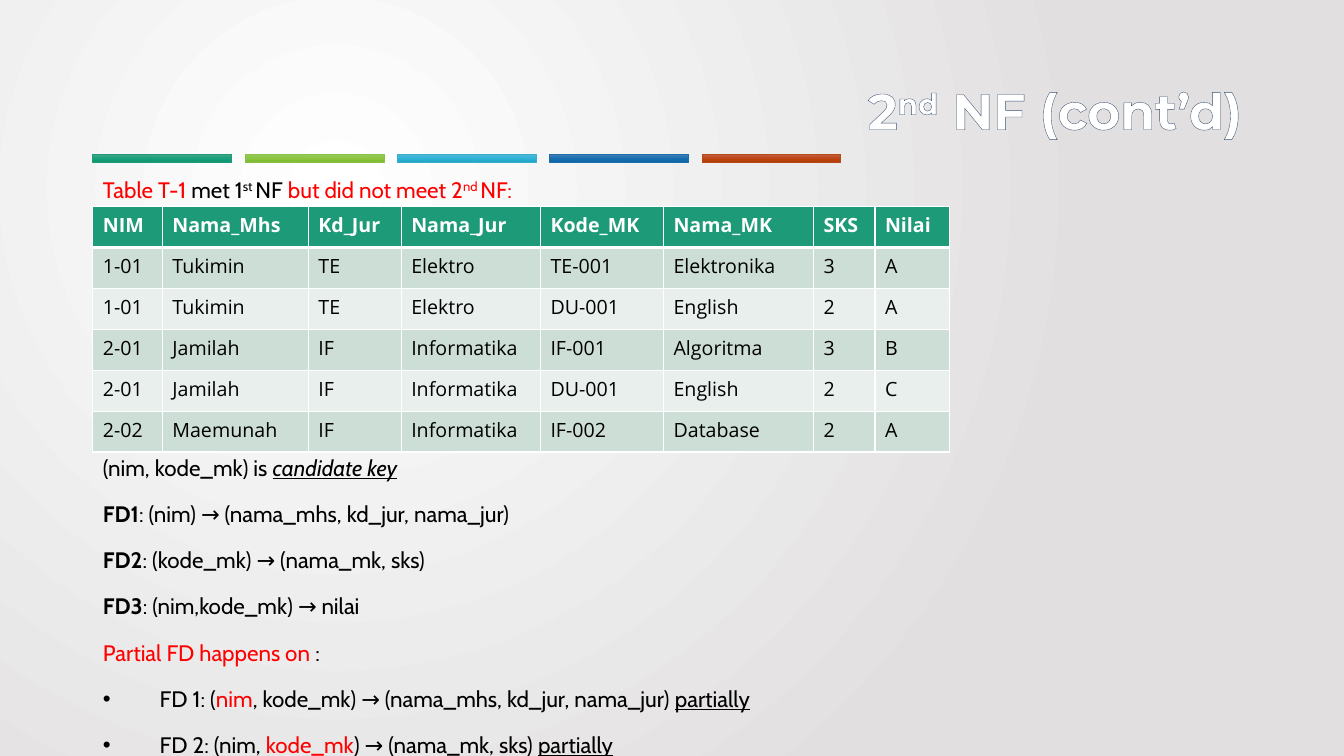
import pptx
import pptx.util
import pptx.dml.color
import pptx.enum.shapes
import pptx.enum.text
import pptx.oxml
import pptx.oxml.ns

Cm, Pt = pptx.util.Cm, pptx.util.Pt
qn = pptx.oxml.ns.qn
NS = pptx.oxml.ns.nsdecls("a")
RED = "FF0000"

BARS = [  # line, then gradient from top to bottom
    ("1D9A78", "4EA788", "17A07B", "0F9470"),
    ("8BC145", "98C862", "8CC73F", "7DB831"),
    ("36AFCE", "59B8D4", "2EB3D6", "21A4C6"),
    ("1D6FA9", "4E80B5", "1670B0", "0D65A3"),
    ("B74919", "C2634D", "BF4611", "B13B08"),
]
HEAD = [("2", {}), ("nd", {"base": 30}), (" NF (cont’d)", {})]
COLS = [1.75, 3.68, 2.34, 3.51, 3.1, 3.78, 1.55, 1.88]
ROWS = [
    ["NIM", "Nama_Mhs", "Kd_Jur", "Nama_Jur", "Kode_MK", "Nama_MK", "SKS", "Nilai"],
    ["1-01", "Tukimin", "TE", "Elektro", "TE-001", "Elektronika", "3", "A"],
    ["1-01", "Tukimin", "TE", "Elektro", "DU-001", "English", "2", "A"],
    ["2-01", "Jamilah", "IF", "Informatika", "IF-001", "Algoritma", "3", "B"],
    ["2-01", "Jamilah", "IF", "Informatika", "DU-001", "English", "2", "C"],
    ["2-02", "Maemunah", "IF", "Informatika", "IF-002", "Database", "2", "A"],
]
# Each line: space before, bullet or not, runs
LINES = [
    (0, False, [("Table T-1 ", {"color": RED}), ("met 1", {}), ("st ", {"base": 30}),
                ("NF ", {}), ("but did not meet 2", {"color": RED}),
                ("nd ", {"color": RED, "base": 30}), ("NF:", {"color": RED})]),
    (175.5, False, [("(nim, kode_mk) is ", {}),
                    ("candidate key", {"slant": True, "under": True})]),
    (10, False, [("FD1", {"bold": True}),
                 (": (nim) → (nama_mhs, kd_jur, nama_jur)", {})]),
    (10, False, [("FD2", {"bold": True}), (": (kode_mk) → (nama_mk, sks)", {})]),
    (10, False, [("FD3", {"bold": True}), (": (nim,kode_mk) → nilai", {})]),
    (10, False, [("Partial FD happens on ", {"color": RED}), (":", {})]),
    (10, True, [("FD 1: (", {}), ("nim", {"color": RED}),
                (", kode_mk) → (nama_mhs, kd_jur, nama_jur) ", {}),
                ("partially", {"under": True})]),
    (10, True, [("FD 2: (nim, ", {}), ("kode_mk", {"color": RED}),
                (") → (nama_mk, sks) ", {}), ("partially", {"under": True})]),
]


def rgb(code):
    return pptx.dml.color.RGBColor.from_string(code)


def write(para, text, font="Cabin", size=16, color="000000", bold=False,
          slant=False, under=False, base=0, edge=None):
    run = para.add_run()
    run.text = text
    style = run.font
    style.name, style.size = font, Pt(size)
    style.bold, style.italic, style.underline = bold, slant, under
    style.color.rgb = rgb(color)
    props = run._r.get_or_add_rPr()
    if base:
        props.set("baseline", str(base * 1000))
    if edge:
        props.insert(0, line("ln", edge, 1))


def line(tag, color, width):
    return pptx.oxml.parse_xml(
        f'<a:{tag} {NS} w="{Pt(width)}"><a:solidFill><a:srgbClr val="{color}"/>'
        f'</a:solidFill></a:{tag}>')


def blend(props, colors, way):
    """Put an even gradient in place of the solid fill."""
    step = 100000 // (len(colors) - 1)
    stops = "".join(f'<a:gs pos="{i * step}"><a:srgbClr val="{c}"/></a:gs>'
                    for i, c in enumerate(colors))
    grad = pptx.oxml.parse_xml(
        f'<a:gradFill {NS} rotWithShape="1"><a:gsLst>{stops}</a:gsLst>{way}</a:gradFill>')
    props.replace(props.find(qn("a:solidFill")), grad)


def place(shape, box):
    shape.left, shape.top, shape.width, shape.height = (Cm(n) for n in box)


def ground(slide):
    slide.background.fill.solid()
    blend(slide._element.find(".//" + qn("p:bgPr")), ["FFFFFF", "E1DFDF"],
          '<a:path path="circle"><a:fillToRect l="50000" t="50000" '
          'r="100000" b="100000"/></a:path>')


def strip(slide, box):
    left, top, width, high = box
    size = 3.5
    step = (width - size) / (len(BARS) - 1)
    for i, (edge, *colors) in enumerate(BARS):
        bar = slide.shapes.add_shape(
            pptx.enum.shapes.MSO_SHAPE.RECTANGLE,
            Cm(left + i * step), Cm(top), Cm(size), Cm(high))
        bar.shadow.inherit = False
        bar.fill.solid()
        blend(bar._element.spPr, colors, '<a:lin ang="5400000" scaled="0"/>')
        bar.line.color.rgb = rgb(edge)
        bar.line.width = Pt(0.5)
        # Bars lie behind the text
        slide.shapes._spTree.insert(2 + i, bar._element)


def title(slide, box):
    shape = slide.shapes.title
    place(shape, box)
    frame = shape.text_frame
    frame.auto_size = pptx.enum.text.MSO_AUTO_SIZE.NONE
    frame.vertical_anchor = pptx.enum.text.MSO_ANCHOR.MIDDLE
    para = frame.paragraphs[0]
    para.alignment = pptx.enum.text.PP_ALIGN.RIGHT
    para.line_spacing = 0.9
    for text, look in HEAD:
        write(para, text, font="Montserrat", size=36, color="FFFFFF",
              bold=True, edge="3A5274", **look)


def body(slide, box):
    shape = slide.placeholders[1]
    place(shape, box)
    frame = shape.text_frame
    frame.auto_size = pptx.enum.text.MSO_AUTO_SIZE.NONE
    for i, (space, dot, runs) in enumerate(LINES):
        para = frame.add_paragraph() if i else frame.paragraphs[0]
        para.line_spacing = 1.2
        para.space_before = Pt(space)
        props = para._p.get_or_add_pPr()
        props.set("marL", str(Cm(1.43)))
        props.set("indent", str(-Cm(1.43)))
        mark = f'<a:buChar {NS} char="•"/>' if dot else f"<a:buNone {NS}/>"
        props.append(pptx.oxml.parse_xml(mark))
        for text, look in runs:
            write(para, text, **look)


def grid(slide, box):
    frame = slide.shapes.add_table(len(ROWS), len(COLS), *(Cm(n) for n in box))
    table = frame.table
    for col, width in zip(table.columns, COLS):
        col.width = Cm(width)
    for r, row in enumerate(ROWS):
        table.rows[r].height = Cm(box[3] / len(ROWS))
        for c, text in enumerate(row):
            cell = table.cell(r, c)
            top = r == 0
            cell.fill.solid()
            cell.fill.fore_color.rgb = rgb(
                "1D9A78" if top else "CDDED6" if r % 2 else "E8EFEC")
            write(cell.text_frame.paragraphs[0], text, font="Open Sans", size=14,
                  color="FFFFFF" if top else "000000", bold=top)
            # White borders, thick under the header
            sides = {"lnL": 1, "lnR": 1, "lnT": 3 if r == 1 else 1, "lnB": 3 if top else 1}
            props = cell._tc.get_or_add_tcPr()
            for i, (tag, width) in enumerate(sides.items()):
                props.insert(i, line(tag, "FFFFFF", width))


def main():
    deck = pptx.Presentation()
    deck.slide_width, deck.slide_height = Cm(33.87), Cm(19.05)
    slide = deck.slides.add_slide(deck.slide_layouts[1])
    left = 2.34
    ground(slide)
    strip(slide, (left, 3.89, 18.85, 0.2))
    title(slide, (left, 1.02, 29.21, 3.68))
    body(slide, (left, 4.17, 26.04, 14.88))
    grid(slide, (left, 5.21, sum(COLS), 6.18))
    deck.save("out.pptx")


if __name__ == "__main__":
    main()
